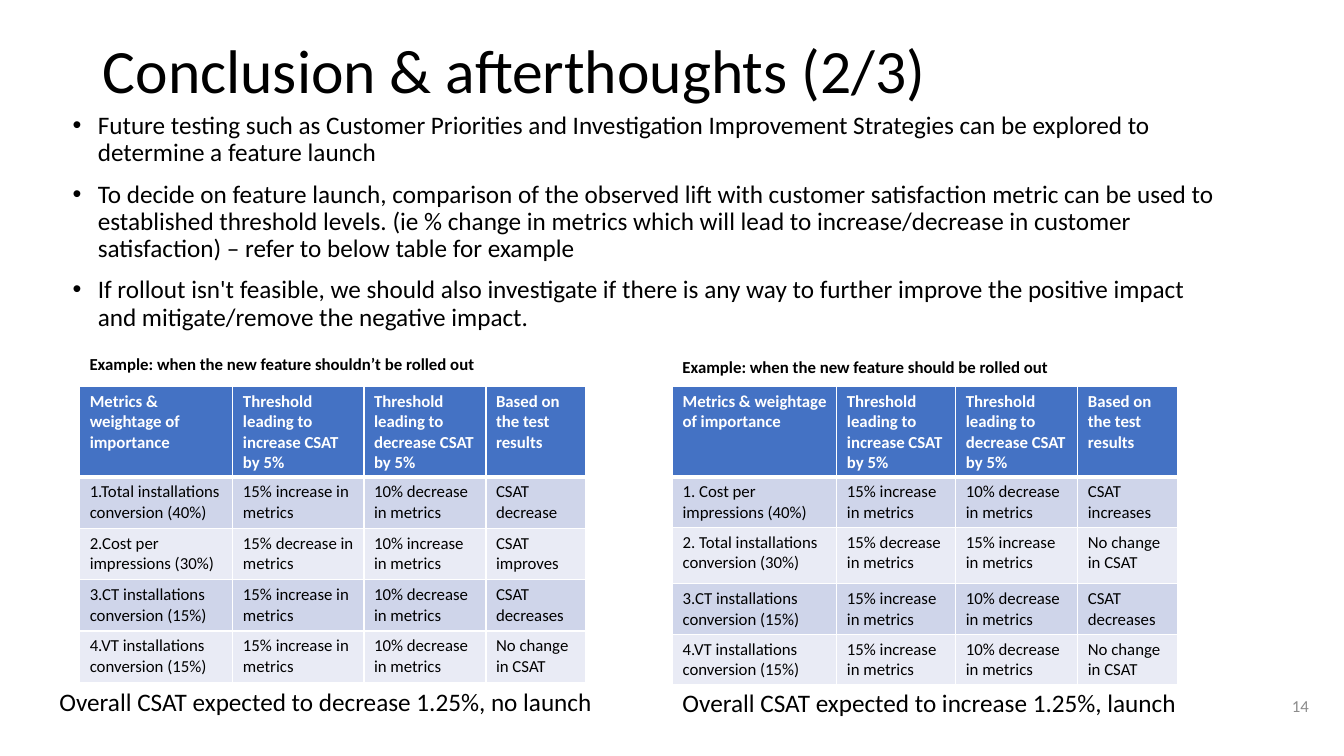
from lxml import etree
from pptx import Presentation
from pptx.dml.color import RGBColor
from pptx.enum import text
from pptx.oxml.ns import qn
from pptx.util import Inches, Pt

# Content
TITLE = "Conclusion & afterthoughts (2/3)"
BULLETS = [
    "Future testing such as Customer Priorities and Investigation Improvement Strategies "
    "can be explored to determine a feature launch",
    "To decide on feature launch, comparison of the observed lift with customer satisfaction "
    "metric can be used to established threshold levels. (ie % change in metrics which will "
    "lead to increase/decrease in customer satisfaction) – refer to below table for example",
    "If rollout isn't feasible, we should also investigate if there is any way to further "
    "improve the positive impact and mitigate/remove the negative impact.",
]
HEADER = ("Metrics & weightage of importance", "Threshold leading to increase CSAT by 5%",
          "Threshold leading to decrease CSAT by 5%", "Based on the test results")
# Metric, change raising CSAT, change lowering CSAT, test result
EXAMPLES = [
    {
        "left": 0.79, "caption_top": 3.46,
        "caption": "Example: when the new feature shouldn’t be rolled out",
        "columns": [1.52, 1.3, 1.21, 0.99],
        "heights": [0.9, 0.51, 0.51, 0.51, 0.51],
        "rows": [
            ("1.Total installations conversion (40%)", "15% increase", "10% decrease", "CSAT decrease"),
            ("2.Cost per impressions (30%)", "15% decrease", "10% increase", "CSAT improves"),
            ("3.CT installations conversion (15%)", "15% increase", "10% decrease", "CSAT decreases"),
            ("4.VT installations conversion (15%)", "15% increase", "10% decrease", "No change in CSAT"),
        ],
        "verdict": "Overall CSAT expected to decrease 1.25%, no launch",
        "verdict_box": (0.49, 6.76, 5.62, 0.4),
    },
    {
        "left": 6.67, "caption_top": 3.49,
        "caption": "Example: when the new feature should be rolled out",
        "columns": [1.63, 1.18, 1.21, 0.99],
        "heights": [0.89, 0.5, 0.56, 0.5, 0.5],
        "rows": [
            ("1. Cost per impressions (40%)", "15% increase", "10% decrease", "CSAT increases"),
            ("2. Total installations conversion (30%)", "15% decrease", "15% increase", "No change in CSAT"),
            ("3.CT installations conversion (15%)", "15% increase", "10% decrease", "CSAT decreases"),
            ("4.VT installations conversion (15%)", "15% increase", "10% decrease", "No change in CSAT"),
        ],
        "verdict": "Overall CSAT expected to increase 1.25%, launch",
        "verdict_box": (6.67, 6.77, 5.25, 0.4),
    },
]
PAGE_NUMBER = "14"
COLORS = {"text": "000000", "white": "FFFFFF", "header": "4472C4",
          "odd": "CFD5EA", "even": "E9EBF5", "number": "8C8C8C"}
FONT = "Calibri"
TABLE_TOP = 3.83


def style(paragraph, size, color="text", bold=False):
    font = paragraph.font
    font.name, font.size, font.bold = FONT, Pt(size), bold
    font.color.rgb = RGBColor.from_string(COLORS[color])


def place(shape, left, top, width, height):
    shape.left, shape.top = Inches(left), Inches(top)
    shape.width, shape.height = Inches(width), Inches(height)


def add_text(slide, content, box, size, color="text", bold=False):
    frame = slide.shapes.add_textbox(*map(Inches, box)).text_frame
    frame.word_wrap = True
    frame.text = content
    style(frame.paragraphs[0], size, color, bold)
    return frame


def add_borders(cell, bottom_width):
    properties = cell._tc.get_or_add_tcPr()
    for side, width in (("L", 1), ("R", 1), ("T", 1), ("B", bottom_width)):
        line = etree.SubElement(properties, qn(f"a:ln{side}"), w=str(Pt(width)))
        fill = etree.SubElement(line, qn("a:solidFill"))
        etree.SubElement(fill, qn("a:srgbClr"), val=COLORS["white"])


def add_example(slide, example):
    left, columns, heights = example["left"], example["columns"], example["heights"]
    add_text(slide, example["caption"], (left, example["caption_top"], 6.37, 0.3), 12, bold=True)
    rows = [HEADER] + [(metric, f"{raising} in metrics", f"{lowering} in metrics", result)
                       for metric, raising, lowering, result in example["rows"]]
    table = slide.shapes.add_table(
        len(rows), len(columns), Inches(left), Inches(TABLE_TOP),
        Inches(sum(columns)), Inches(sum(heights))).table
    for column, width in zip(table.columns, columns):
        column.width = Inches(width)
    for index, (row, height, values) in enumerate(zip(table.rows, heights, rows)):
        row.height = Inches(height)
        is_header = index == 0
        fill = "header" if is_header else "odd" if index % 2 else "even"
        for cell, value in zip(row.cells, values):
            cell.text = value
            style(cell.text_frame.paragraphs[0], 12, "white" if is_header else "text", is_header)
            add_borders(cell, 3 if is_header else 1)
            cell.fill.solid()
            cell.fill.fore_color.rgb = RGBColor.from_string(COLORS[fill])
    add_text(slide, example["verdict"], example["verdict_box"], 18)


def main():
    presentation = Presentation()
    presentation.slide_width, presentation.slide_height = Inches(13.33), Inches(7.5)
    slide = presentation.slides.add_slide(presentation.slide_layouts[1])

    # Title
    title = slide.shapes.title
    place(title, 0.92, 0, 11.5, 1.45)
    title.text_frame.text = TITLE
    title.text_frame.vertical_anchor = text.MSO_ANCHOR.MIDDLE
    heading = title.text_frame.paragraphs[0]
    heading.alignment = text.PP_ALIGN.LEFT
    heading.line_spacing = 0.9
    style(heading, 44)

    # Bullet list
    body = slide.placeholders[1]
    place(body, 0.62, 1.07, 11.63, 4.76)
    body.text_frame.text = "\n".join(BULLETS)
    body.text_frame.auto_size = text.MSO_AUTO_SIZE.NONE
    for paragraph in body.text_frame.paragraphs:
        paragraph.line_spacing = 0.9
        paragraph.space_before = Pt(10)
        style(paragraph, 18)
        properties = paragraph._p.get_or_add_pPr()
        properties.set("marL", str(Inches(0.25)))
        properties.set("indent", str(-Inches(0.25)))

    # Example tables with caption and verdict
    for example in EXAMPLES:
        add_example(slide, example)

    # Page number
    number = add_text(slide, PAGE_NUMBER, (10.08, 6.8, 3, 0.4), 12, "number")
    number.vertical_anchor = text.MSO_ANCHOR.MIDDLE
    number.paragraphs[0].alignment = text.PP_ALIGN.RIGHT

    presentation.save("out.pptx")


if __name__ == "__main__":
    main()
